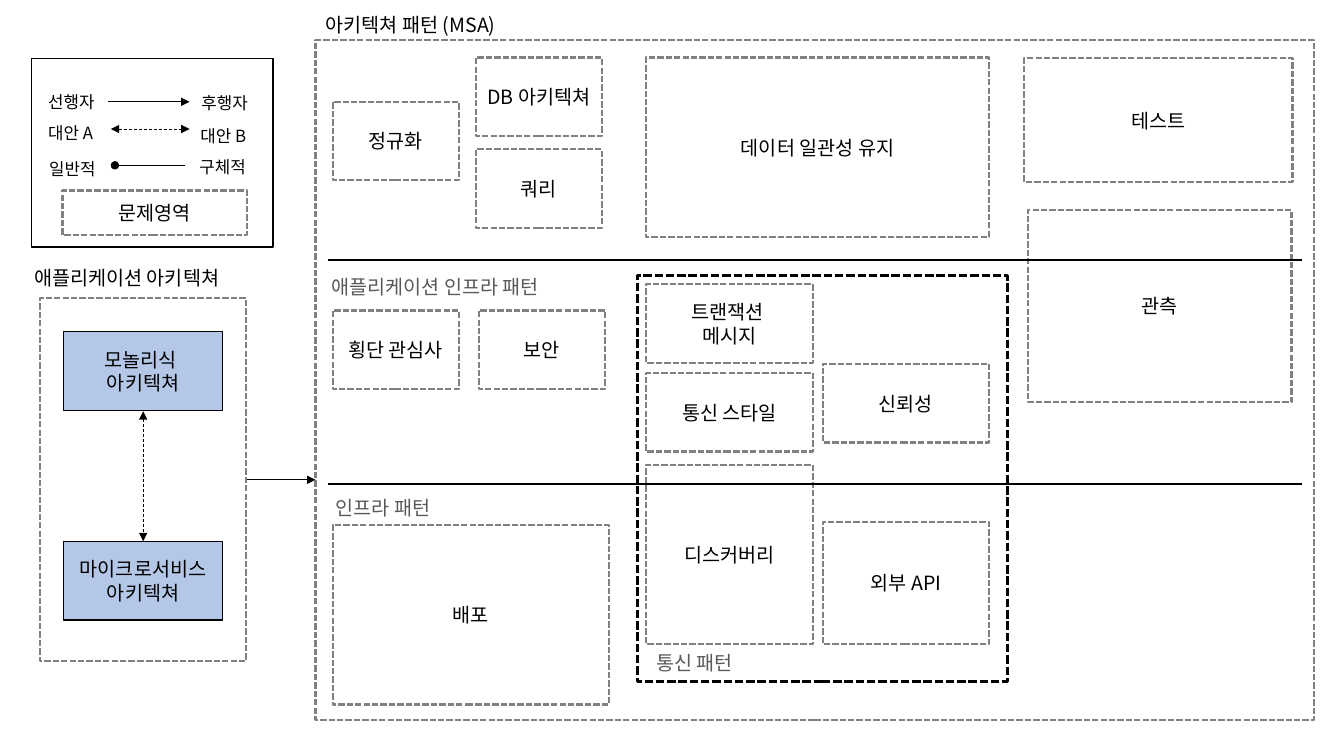
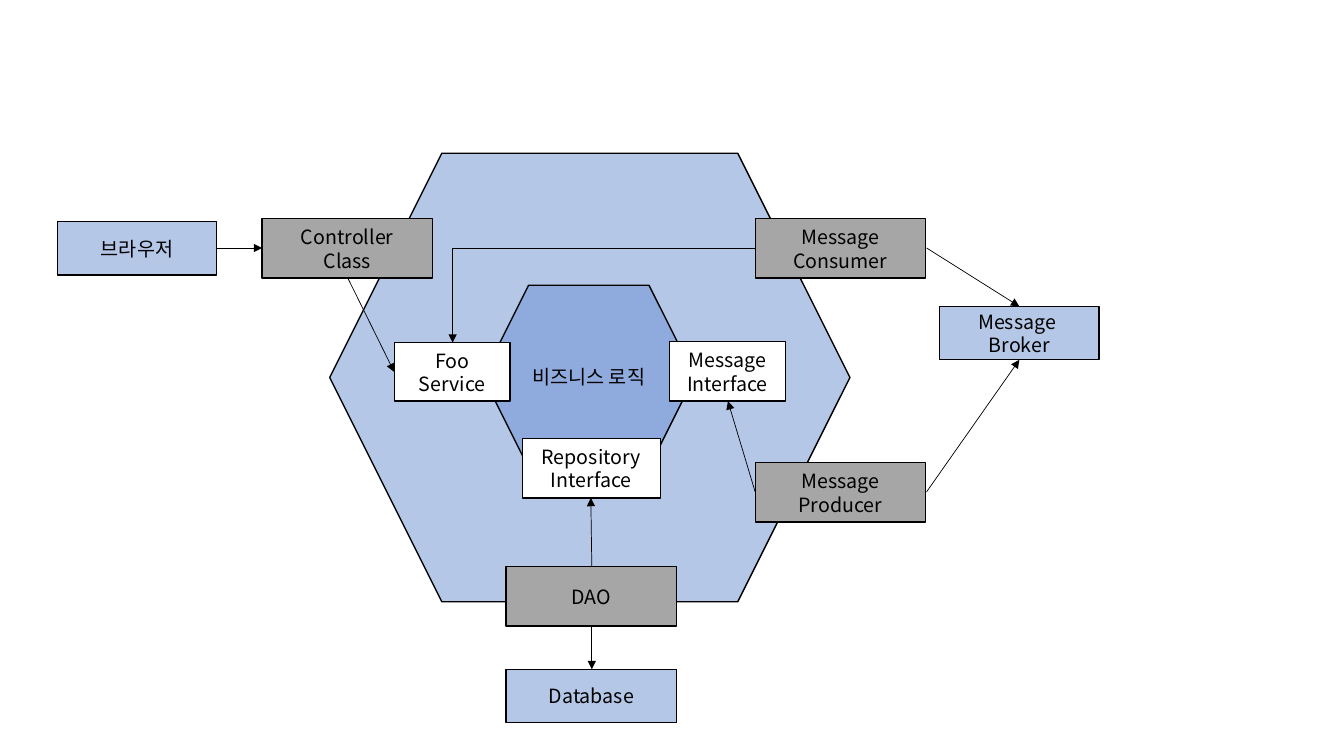
from dataclasses import dataclass
from typing import Any, NamedTuple, Optional

from lxml.etree import SubElement
from pptx import Presentation
from pptx.dml.color import RGBColor
from pptx.enum.dml import MSO_LINE
from pptx.enum.shapes import MSO_CONNECTOR, MSO_SHAPE
from pptx.enum.text import MSO_ANCHOR, MSO_AUTO_SIZE, PP_ALIGN
from pptx.oxml.ns import qn
from pptx.slide import Slide
from pptx.text.text import TextFrame
from pptx.util import Inches, Pt

FONT = "Noto Sans CJK KR"
COLORS = {
    "black": "000000",
    "white": "FFFFFF",
    "gray": "808080",
    "dim": "595959",
    "adapter": "A6A6A6",
    "blue": "B4C7E7",
    "core": "8FAADC",
}
SHAPE_FRAME = {"word_wrap": True, "vertical_anchor": MSO_ANCHOR.MIDDLE}
LABEL_FRAME = {"word_wrap": True, "auto_size": MSO_AUTO_SIZE.SHAPE_TO_FIT_TEXT}


class Look(NamedTuple):
    """Fill and outline of a box."""
    fill: Optional[str]
    line: str = "black"
    width: float = 1
    dash: Optional[MSO_LINE] = None


LOOKS = {
    "area": Look(None, "gray", 1.5, MSO_LINE.SQUARE_DOT),
    "group": Look(None, "black", 2, MSO_LINE.SQUARE_DOT),
    "white": Look("white"),
    "blue": Look("blue"),
    "core": Look("core"),
    "adapter": Look("adapter"),
}


@dataclass
class Box:
    """A preset shape with centred text."""
    left: float
    top: float
    width: float
    height: float
    text: str = ""
    look: str = "area"
    kind: MSO_SHAPE = MSO_SHAPE.RECTANGLE


@dataclass
class Label:
    """A free line of text."""
    left: float
    top: float
    width: float
    text: str
    size: float = 14
    color: str = "black"


@dataclass
class Link:
    """A line with optional ends."""
    x1: float
    y1: float
    x2: float
    y2: float
    head: str = ""
    tail: str = "triangle"
    dash: Optional[MSO_LINE] = None
    width: float = 0.5
    elbow: bool = False


def rgb(name: str) -> RGBColor:
    """Look up a named colour."""
    return RGBColor.from_string(COLORS[name])


def apply(target: Any, values: dict[str, Any]) -> None:
    """Set every attribute named in values."""
    for name, value in values.items():
        setattr(target, name, value)


def write(tf: TextFrame, text: str, size: float, color: str, align: PP_ALIGN) -> None:
    """Fill a text frame, one paragraph for each line."""
    tf.text = text
    for p in tf.paragraphs:
        p.alignment = align
        for r in p.runs:
            apply(r.font, {"size": Pt(size), "name": FONT})
            r.font.color.rgb = rgb(color)
    for r_pr in tf._txBody.iter(qn("a:rPr")):
        SubElement(r_pr, qn("a:ea"), typeface=FONT)


def draw_line(line: Any, color: str, width: float, dash: Optional[MSO_LINE]) -> None:
    """Format an outline or a connector line."""
    line.color.rgb = rgb(color)
    apply(line, {"width": Pt(width), "dash_style": dash})


def add_box(s: Slide, box: Box) -> None:
    """Draw a box."""
    at = map(Inches, (box.left, box.top, box.width, box.height))
    sp = s.shapes.add_shape(box.kind, *at)
    sp.shadow.inherit = False
    look = LOOKS[box.look]
    if look.fill:
        sp.fill.solid()
        sp.fill.fore_color.rgb = rgb(look.fill)
    else:
        sp.fill.background()
    draw_line(sp.line, look.line, look.width, look.dash)
    if box.text:
        apply(sp.text_frame, SHAPE_FRAME)
        write(sp.text_frame, box.text, 14, "black", PP_ALIGN.CENTER)


def add_label(s: Slide, label: Label) -> None:
    """Draw a text box."""
    height = 0.34 if label.size == 14 else 0.3
    at = map(Inches, (label.left, label.top, label.width, height))
    tf = s.shapes.add_textbox(*at).text_frame
    apply(tf, LABEL_FRAME)
    write(tf, label.text, label.size, label.color, PP_ALIGN.LEFT)


def add_link(s: Slide, link: Link) -> None:
    """Draw a connector."""
    kind = MSO_CONNECTOR.ELBOW if link.elbow else MSO_CONNECTOR.STRAIGHT
    ends = map(Inches, (link.x1, link.y1, link.x2, link.y2))
    cxn = s.shapes.add_connector(kind, *ends)
    draw_line(cxn.line, "black", link.width, link.dash)
    sp_pr = cxn.element.spPr
    if link.elbow:
        sp_pr.find(qn("a:prstGeom")).set("prst", "bentConnector2")
    ln = sp_pr.find(qn("a:ln"))
    for tag, end in (("a:headEnd", link.head), ("a:tailEnd", link.tail)):
        if end:
            SubElement(ln, qn(tag), type=end)
    SubElement(sp_pr, qn("a:effectLst"))


DRAW = {Box: add_box, Label: add_label, Link: add_link}


def add_slide(prs: Any, items: list[Any]) -> None:
    """Add a blank slide and draw its items from back to front."""
    s = prs.slides.add_slide(prs.slide_layouts[6])
    for item in items:
        DRAW[type(item)](s, item)


def both_ways(x1: float, y1: float, x2: float, y2: float) -> Link:
    """Make the dashed two-way arrow between alternatives."""
    return Link(x1, y1, x2, y2, head="triangle", dash=MSO_LINE.DASH)


# Pattern map: column lefts, widths and the usual box height
COL_A, COL_C, COL_D = 3.3, 6.41, 8.16
SMALL, MEDIUM, ROW = 1.25, 1.65, 0.78

legend = [
    Box(0.31, 0.58, 2.4, 1.87, look="white"),
    Box(0.62, 1.89, 1.83, 0.44, "문제영역"),
    Link(1.07, 1.01, 1.88, 1.01),
    both_ways(1.1, 1.28, 1.88, 1.28),
    Link(1.84, 1.64, 1.14, 1.64, tail="oval"),
    Label(0.38, 0.86, 0.76, "선행자", 12),
    Label(1.9, 0.87, 0.71, "후행자", 12),
    Label(0.38, 1.17, 0.76, "대안 A", 12),
    Label(1.89, 1.2, 0.76, "대안 B", 12),
    Label(0.39, 1.53, 0.76, "일반적", 12),
    Label(1.88, 1.51, 0.76, "구체적", 12),
]
application = [
    Label(0.24, 2.59, 4.93, "애플리케이션 아키텍쳐"),
    Box(0.4, 2.96, 2.04, 3.6),
    Box(0.63, 3.29, 1.58, ROW, "모놀리식 \n아키텍쳐", "blue"),
    Box(0.63, 5.37, 1.58, ROW, "마이크로서비스\n아키텍쳐", "blue"),
    both_ways(1.42, 4.08, 1.42, 5.37),
    Link(2.45, 4.76, 3.13, 4.76),
]
patterns = [
    Label(3.13, 0.08, 4.93, "아키텍쳐 패턴 (MSA)"),
    Box(3.13, 0.4, 9.9, 6.74),
    Box(COL_A, 1.01, SMALL, ROW, "정규화"),
    Box(4.72, 0.57, SMALL, ROW, "DB 아키텍쳐"),
    Box(4.72, 1.48, SMALL, ROW, "쿼리"),
    Box(COL_C, 0.57, 3.4, 1.78, "데이터 일관성 유지"),
    Box(10.16, 0.58, 2.66, 1.23, "테스트"),
    Box(10.2, 2.08, 2.61, 1.91, "관측"),
    Box(COL_A, 3.08, SMALL, ROW, "횡단 관심사"),
    Box(4.75, 3.08, SMALL, ROW, "보안"),
    Box(COL_A, 5.21, 2.74, 1.78, "배포"),
    Box(COL_C, 2.82, MEDIUM, ROW, "트랜잭션 \n메시지"),
    Box(COL_C, 3.7, MEDIUM, ROW, "통신 스타일"),
    Box(COL_C, 4.61, MEDIUM, 1.78, "디스커버리"),
    Box(COL_D, 3.61, MEDIUM, ROW, "신뢰성"),
    Box(COL_D, 5.18, MEDIUM, 1.21, "외부 API"),
    Box(6.32, 2.73, 3.67, 4.03, look="group"),
    *(Link(3.25, y, 12.91, y, tail="", width=1.5) for y in (2.58, 4.8)),
    Label(3.19, 2.68, 2.44, "애플리케이션 인프라 패턴", color="dim"),
    Label(3.23, 4.87, 2.44, "인프라 패턴", color="dim"),
    Label(COL_C, 6.41, 2.44, "통신 패턴", color="dim"),
]

# Hexagonal architecture: shared box sizes
ADAPTER = (1.69, 0.59)
OUTSIDE = (1.58, 0.53)

hexagonal = [
    Box(3.27, 1.52, 5.16, 4.45, look="blue", kind=MSO_SHAPE.HEXAGON),
    Box(4.79, 2.83, 2.1, 1.81, "비즈니스 로직", "core", MSO_SHAPE.HEXAGON),
    Box(0.57, 2.2, *OUTSIDE, "브라우저", "blue"),
    Box(9.32, 3.04, *OUTSIDE, "Message \nBroker", "blue"),
    Box(5.02, 6.64, 1.69, 0.53, "Database", "blue"),
    Box(2.6, 2.17, *ADAPTER, "Controller\nClass", "adapter"),
    Box(5.02, 5.62, *ADAPTER, "DAO", "adapter"),
    Box(7.49, 2.17, *ADAPTER, "Message\nConsumer", "adapter"),
    Box(7.49, 4.59, *ADAPTER, "Message\nProducer", "adapter"),
    Box(3.91, 3.4, 1.15, 0.58, "Foo\nService", "white"),
    Box(6.64, 3.39, 1.15, 0.59, "Message\nInterface", "white"),
    Box(5.18, 4.35, 1.37, 0.59, "Repository\nInterface", "white"),
    Link(2.14, 2.46, 2.6, 2.46),
    Link(3.45, 2.76, 3.91, 3.69),
    Link(5.87, 6.21, 5.87, 6.64),
    Link(5.87, 5.62, 5.86, 4.94),
    Link(9.19, 4.88, 10.11, 3.57),
    Link(9.19, 2.46, 10.11, 3.04),
    Link(7.49, 2.46, 4.49, 3.4, elbow=True),
    Link(7.49, 4.88, 7.22, 3.98),
]

prs = Presentation()
apply(prs, {"slide_width": Inches(13.33), "slide_height": Inches(7.5)})
add_slide(prs, legend + application + patterns)
add_slide(prs, hexagonal)
prs.save("out.pptx")
